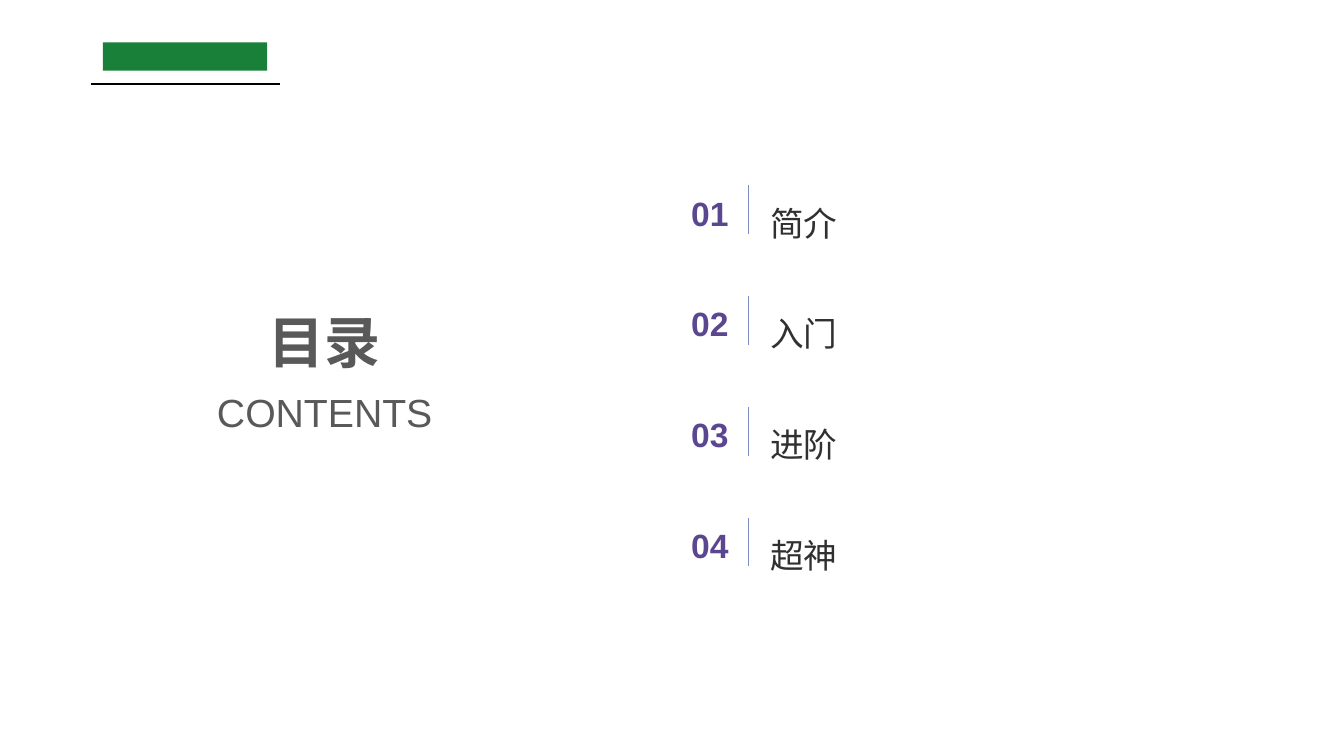
from lxml import etree
from pptx import Presentation, util as u
from pptx.dml.color import RGBColor
from pptx.enum import shapes, text
from pptx.oxml.ns import qn

PX = u.Inches(1) // 100
GREEN = RGBColor(0x19, 0x80, 0x3A)
PURPLE = RGBColor(0x5B, 0x47, 0x90)
BLUE = RGBColor(0x7C, 0x8E, 0xC3)
GRAY = RGBColor(0x59, 0x59, 0x59)
DARK = RGBColor(0x30, 0x30, 0x30)
BLACK = RGBColor(0, 0, 0)

CHAPTERS = ["简介", "入门", "进阶", "超神"]
CHAPTER_STEP = 110


def add_text(paragraph, content, font="Arial", size=24, color=DARK, bold=False):
    run = paragraph.add_run()
    run.text = content
    run.font.name = font
    run.font.size = u.Pt(size)
    run.font.color.rgb = color
    run.font.bold = bold


class ContentsSlide:
    def __init__(self, presentation):
        self.slide = presentation.slides.add_slide(presentation.slide_layouts[5])

    def title(self, left, top, width, height):
        shape = self.slide.shapes.title
        shape.left, shape.top, shape.width, shape.height = (
            value * PX for value in (left, top, width, height))
        frame = shape.text_frame
        frame.word_wrap = True
        frame.auto_size = text.MSO_AUTO_SIZE.SHAPE_TO_FIT_TEXT
        frame.vertical_anchor = text.MSO_ANCHOR.TOP
        paragraph = frame.paragraphs[0]
        paragraph.alignment = text.PP_ALIGN.CENTER
        paragraph.line_spacing = 1.3
        return paragraph

    def label(self, content, left, top, width, height, wrap=True,
              align=text.PP_ALIGN.LEFT, **style):
        shape = self.slide.shapes.add_textbox(
            left * PX, top * PX, width * PX, height * PX)
        frame = shape.text_frame
        frame.word_wrap = wrap
        frame.auto_size = text.MSO_AUTO_SIZE.SHAPE_TO_FIT_TEXT
        paragraph = frame.paragraphs[0]
        paragraph.alignment = align
        add_text(paragraph, content, **style)

    def block(self, left, top, width, height, color):
        shape = self.slide.shapes.add_shape(
            shapes.MSO_SHAPE.RECTANGLE,
            left * PX, top * PX, width * PX, height * PX)
        shape.shadow.inherit = False
        shape.fill.solid()
        shape.fill.fore_color.rgb = color
        shape.line.fill.background()

    def line(self, left, top, right, bottom, color, weight):
        connector = self.slide.shapes.add_connector(
            shapes.MSO_CONNECTOR.STRAIGHT,
            left * PX, top * PX, right * PX, bottom * PX)
        connector.line.color.rgb = color
        connector.line.width = u.Pt(weight)
        etree.SubElement(connector._element.spPr, qn("a:effectLst"))

    def chapter(self, index, name):
        offset = index * CHAPTER_STEP
        self.label(name, 754, 196 + offset, 505, 50)
        self.label(f"{index + 1:02}", 675, 186 + offset, 58, 50, wrap=False,
                   align=text.PP_ALIGN.CENTER, color=PURPLE, bold=True)
        self.line(742, 184 + offset, 742, 232 + offset, BLUE, 0.5)


def main():
    presentation = Presentation()
    presentation.slide_width = 1333 * PX
    presentation.slide_height = 750 * PX
    contents = ContentsSlide(presentation)
    for index, name in enumerate(CHAPTERS):
        contents.chapter(index, name)
    heading = contents.title(169, 280, 306, 159)
    add_text(heading, "目录 ", font="Courier New", size=40, color=GRAY, bold=True)
    add_text(heading, "CONTENTS", size=28, color=GRAY)
    contents.block(102, 42, 163, 28, GREEN)
    contents.line(90, 83, 278, 83, BLACK, 1.5)
    presentation.save("out.pptx")


if __name__ == "__main__":
    main()
